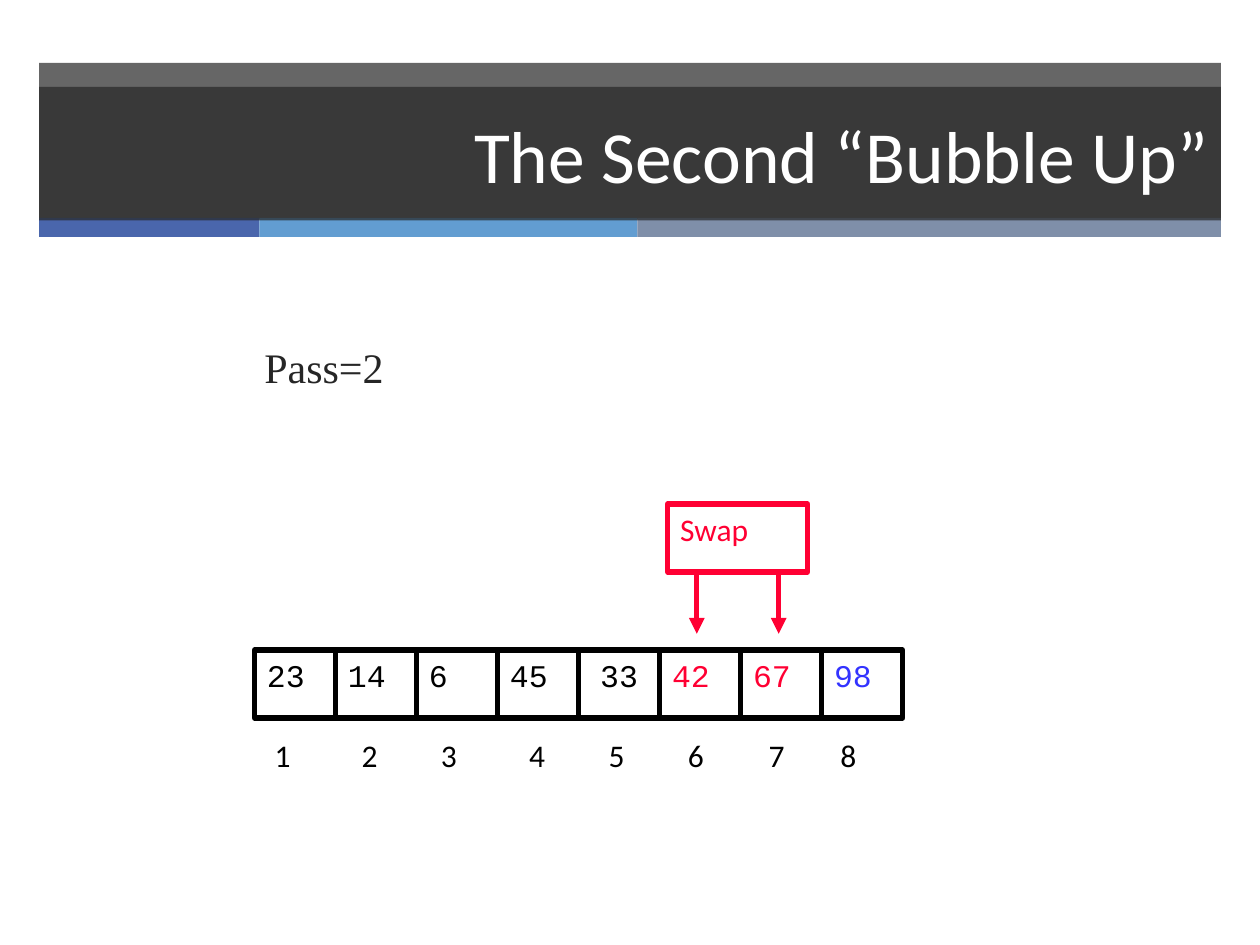
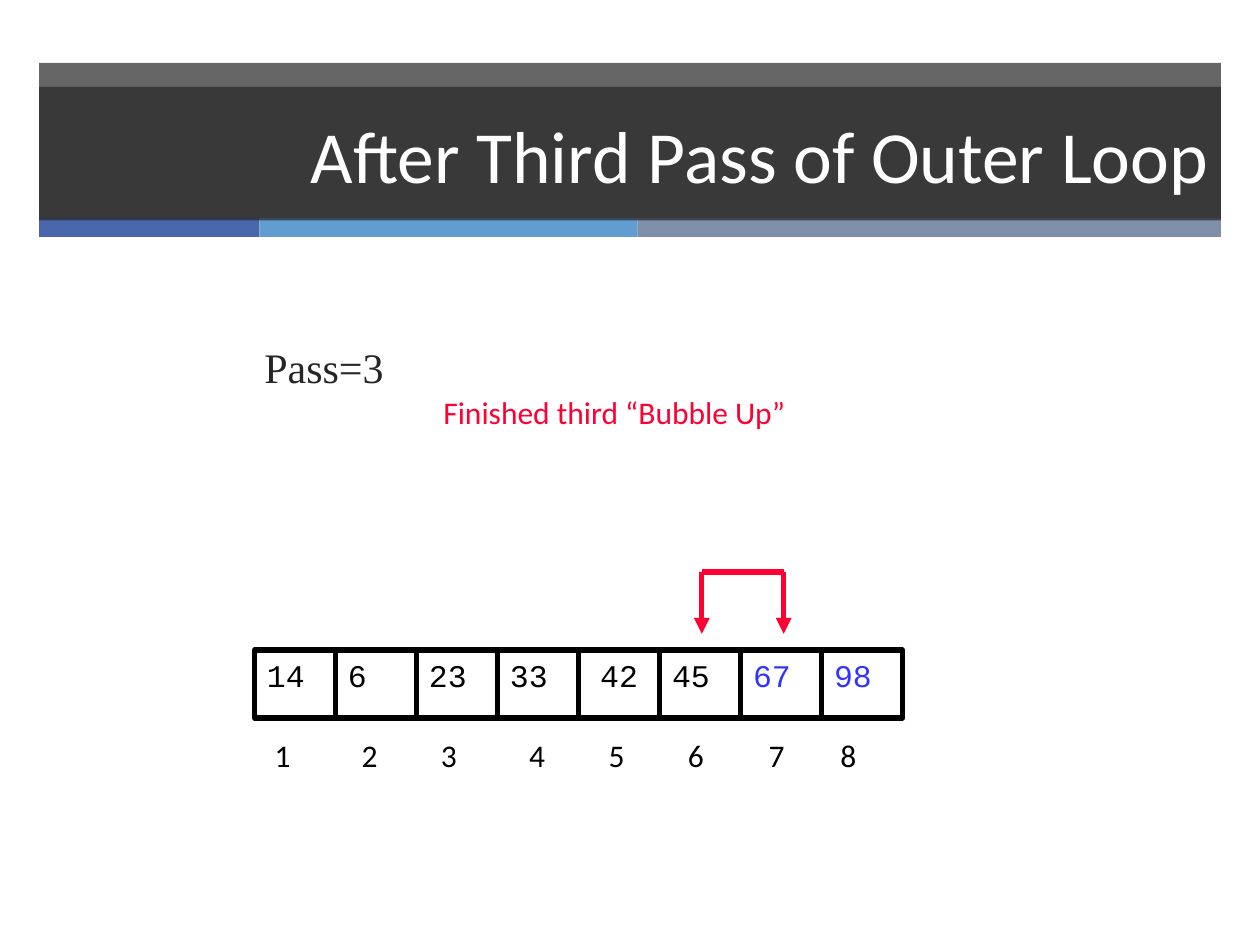
import pptx
import pptx.util
import pptx.dml.color
import pptx.enum.shapes
import pptx.enum.text
import pptx.oxml.ns
from lxml import etree

Inches = pptx.util.Inches
Pt = pptx.util.Pt
RGBColor = pptx.dml.color.RGBColor
PP_ALIGN = pptx.enum.text.PP_ALIGN
MSO_ANCHOR = pptx.enum.text.MSO_ANCHOR
RECT = pptx.enum.shapes.MSO_SHAPE.RECTANGLE
STRAIGHT = pptx.enum.shapes.MSO_CONNECTOR.STRAIGHT
qn = pptx.oxml.ns.qn

DARK = RGBColor(0x26, 0x26, 0x26)
INDIGO = RGBColor(0x4A, 0x66, 0xAC)
SKY = RGBColor(0x62, 0x9D, 0xD1)
SLATE = RGBColor(0x7F, 0x8F, 0xA9)
WHITE = RGBColor(0xFF, 0xFF, 0xFF)
BLACK = RGBColor(0x00, 0x00, 0x00)
RED = RGBColor(0xFF, 0x00, 0x33)
BLUE = RGBColor(0x33, 0x33, 0xFF)

CELL_X, CELL_Y, CELL_W, CELL_H = 2.02, 5.16, 0.643, 0.54
BRACKET_TOP, BRACKET_TIP = 4.54, 5.03
INDEX_TABS = [0.69, 1.32, 2.02, 2.65, 3.28, 3.92, 4.49]

SLIDES = [
    {
        "title": "The Second “Bubble Up”",
        "pass": "Pass=2",
        "values": ["23", "14", "6", "45", "33", "42", "67", "98"],
        "colors": [BLACK] * 5 + [RED, RED, BLUE],
        "bracket_x": 5.53,
        "note": ("Swap", 5.3, 4, 1.11, 0.54, True),
    },
    {
        "title": "After Third Pass of Outer Loop",
        "pass": "Pass=3",
        "values": ["14", "6", "23", "33", "42", "45", "67", "98"],
        "colors": [BLACK] * 6 + [BLUE, BLUE],
        "bracket_x": 5.57,
        "note": ("Finished third “Bubble Up”", 3.42, 3.07, 4.49, 0.5, False),
    },
]


def fill_solid(sp, color, opacity=100):
    sp.fill.solid()
    sp.fill.fore_color.rgb = color
    if opacity < 100:
        clr = sp.element.spPr.find(qn("a:solidFill")).find(qn("a:srgbClr"))
        etree.SubElement(clr, qn("a:alpha")).set("val", str(opacity * 1000))


def write(sp, text, size, font, color, align=PP_ALIGN.LEFT, anchor=MSO_ANCHOR.TOP):
    tf = sp.text_frame
    tf.word_wrap = True
    tf.auto_size = pptx.enum.text.MSO_AUTO_SIZE.NONE
    tf.vertical_anchor = anchor
    p = tf.paragraphs[0]
    p.alignment = align
    r = p.add_run()
    r.text = text
    r.font.size = Pt(size)
    r.font.name = font
    r.font.color.rgb = color


prs = pptx.Presentation()
prs.slide_width = Inches(10)
prs.slide_height = Inches(7.5)
layout = prs.slide_layouts[5]

for number, data in enumerate(SLIDES):
    s = prs.slides.add_slide(layout)

    if number == 0:
        bands = [
            (0.31, 0.5, 9.38, 1.24, DARK, 70),
            (0.31, 1.73, 1.75, 0.15, INDIGO, 100),
            (2.06, 1.73, 3, 0.15, SKY, 100),
            (5.06, 1.73, 4.63, 0.15, SLATE, 100),
        ]
        for i, (x, y, w, h, color, opacity) in enumerate(bands):
            sp = s.shapes.add_shape(RECT, Inches(x), Inches(y), Inches(w), Inches(h))
            sp.shadow.inherit = False
            fill_solid(sp, color, opacity)
            sp.line.fill.background()
            sp.name = f"Band {i + 1}"
            sp.element.nvSpPr.cNvPr.set("id", str(20 + i))
            layout.shapes.element.insert(2 + i, sp.element)

    title = s.shapes.title
    title.left, title.top = Inches(0.31), Inches(0.69)
    title.width, title.height = Inches(9.38), Inches(1.06)
    fill_solid(title, DARK, 70)
    write(title, data["title"], 42, "Calibri", WHITE, PP_ALIGN.RIGHT, MSO_ANCHOR.MIDDLE)

    for i, (value, color) in enumerate(zip(data["values"], data["colors"])):
        sp = s.shapes.add_shape(RECT, Inches(CELL_X + i * CELL_W), Inches(CELL_Y),
                                Inches(CELL_W), Inches(CELL_H))
        sp.shadow.inherit = False
        sp.fill.background()
        sp.line.color.rgb = BLACK
        sp.line.width = Pt(3)
        align = PP_ALIGN.CENTER if i == 4 else PP_ALIGN.LEFT
        write(sp, value, 18, "Courier New", color, align)

    left = data["bracket_x"]
    right = left + 0.65
    bracket = [
        (left, BRACKET_TIP, left, BRACKET_TOP),
        (right, BRACKET_TIP, right, BRACKET_TOP),
        (left, BRACKET_TOP, right, BRACKET_TOP),
    ]
    for x1, y1, x2, y2 in bracket:
        line = s.shapes.add_connector(STRAIGHT, Inches(x1), Inches(y1), Inches(x2), Inches(y2))
        line.line.color.rgb = RED
        line.line.width = Pt(3)
        if x1 == x2:
            ln = line.line._get_or_add_ln()
            etree.SubElement(ln, qn("a:headEnd")).set("type", "triangle")
        etree.SubElement(line.element.spPr, qn("a:effectLst"))

    text, x, y, w, h, framed = data["note"]
    if framed:
        sp = s.shapes.add_shape(RECT, Inches(x), Inches(y), Inches(w), Inches(h))
        sp.shadow.inherit = False
        sp.fill.background()
        sp.line.color.rgb = RED
        sp.line.width = Pt(3)
    else:
        sp = s.shapes.add_textbox(Inches(x), Inches(y), Inches(w), Inches(h))
    write(sp, text, 18, "Calibri", RED)

    indexes = s.shapes.add_textbox(Inches(CELL_X), Inches(5.79), Inches(5.14), Inches(0.4))
    indexes.text_frame.margin_left = Inches(0.16)
    pPr = indexes.text_frame.paragraphs[0]._p.get_or_add_pPr()
    tabs = etree.SubElement(pPr, qn("a:tabLst"))
    for stop in INDEX_TABS:
        etree.SubElement(tabs, qn("a:tab"), pos=str(Inches(stop)), algn="l")
    write(indexes, "\t".join(str(n) for n in range(1, 9)), 18, "Calibri", BLACK)

    label = s.shapes.add_textbox(Inches(2), Inches(2.66), Inches(5), Inches(0.5))
    write(label, data["pass"], 24, "Times New Roman", DARK)

prs.save("out.pptx")
